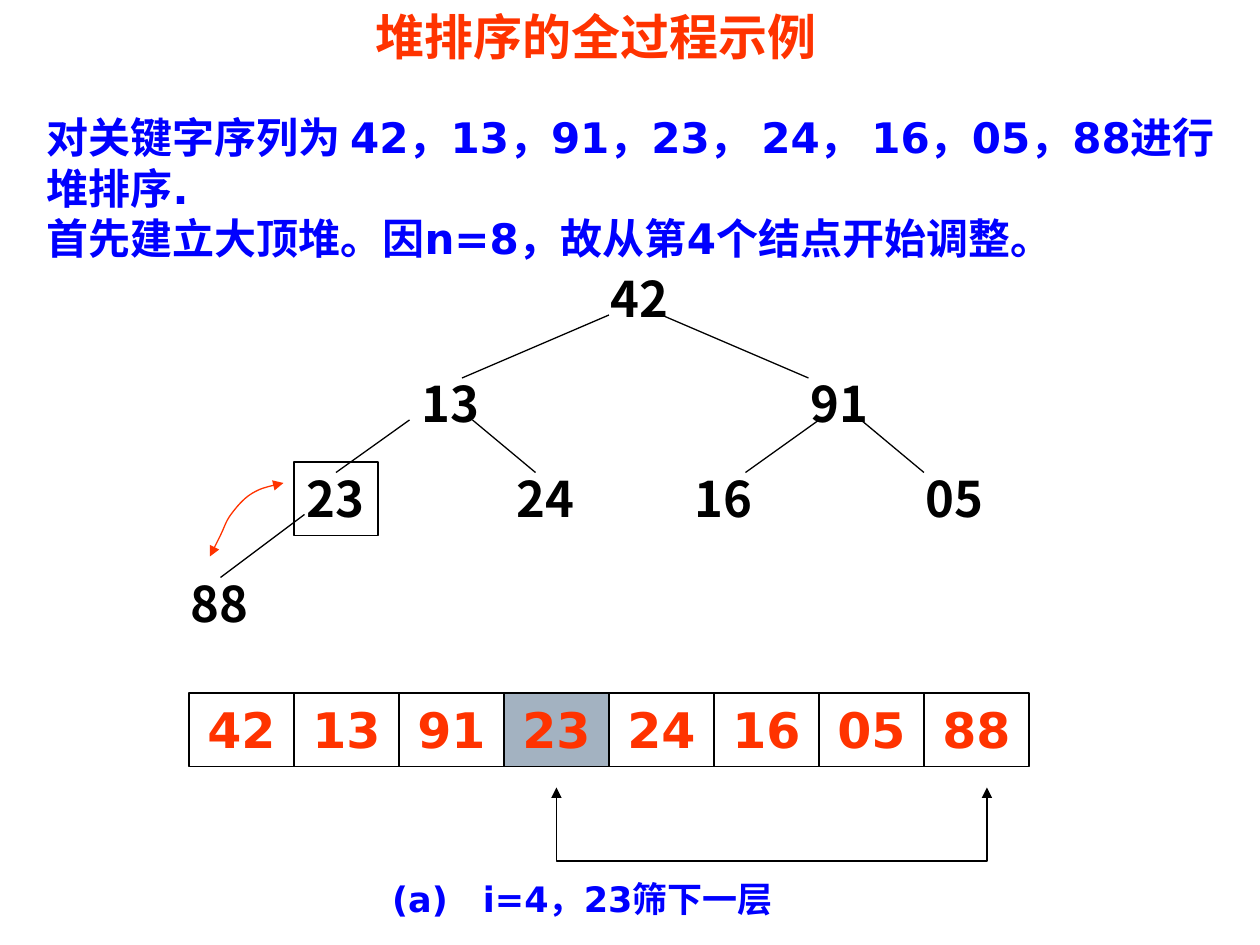
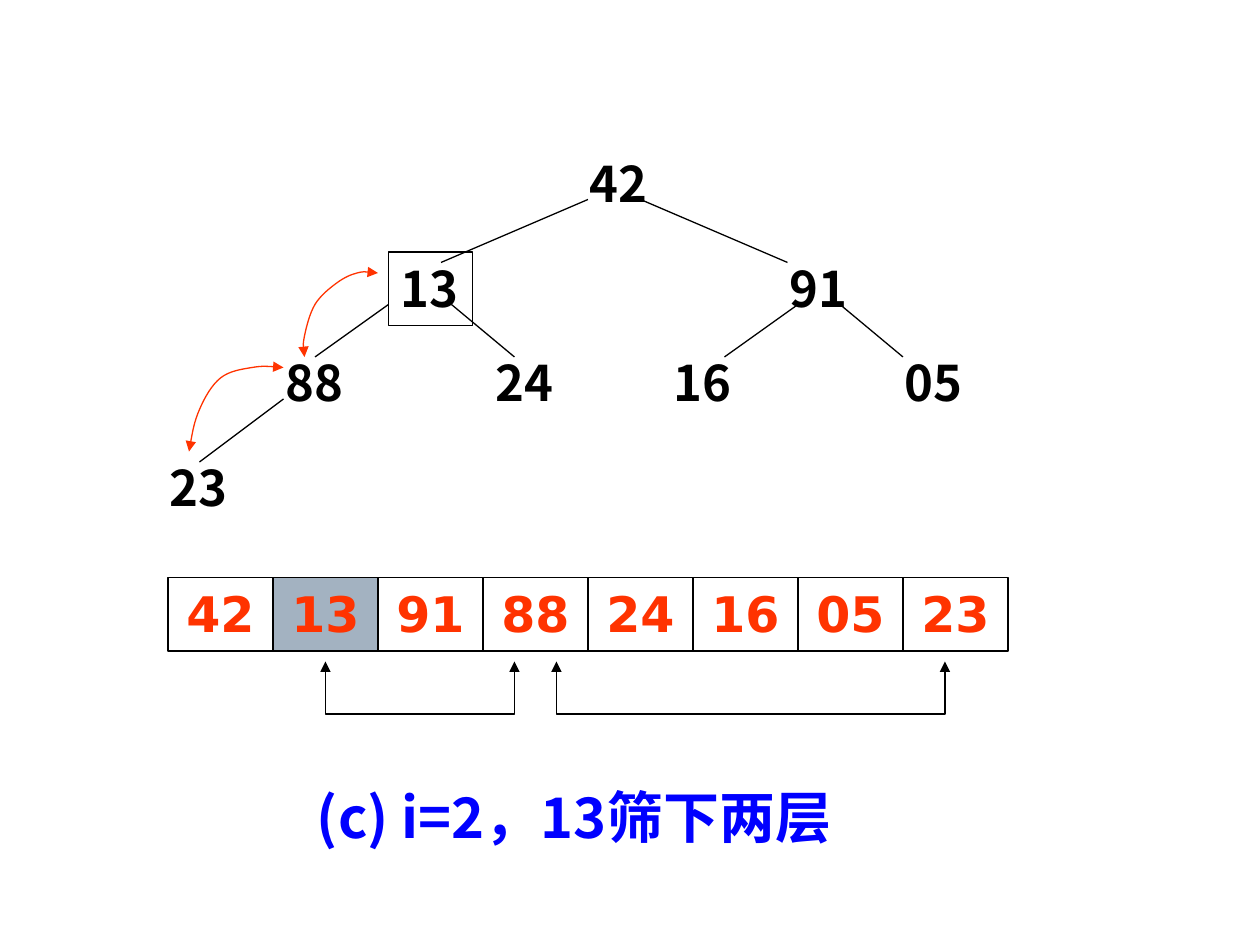
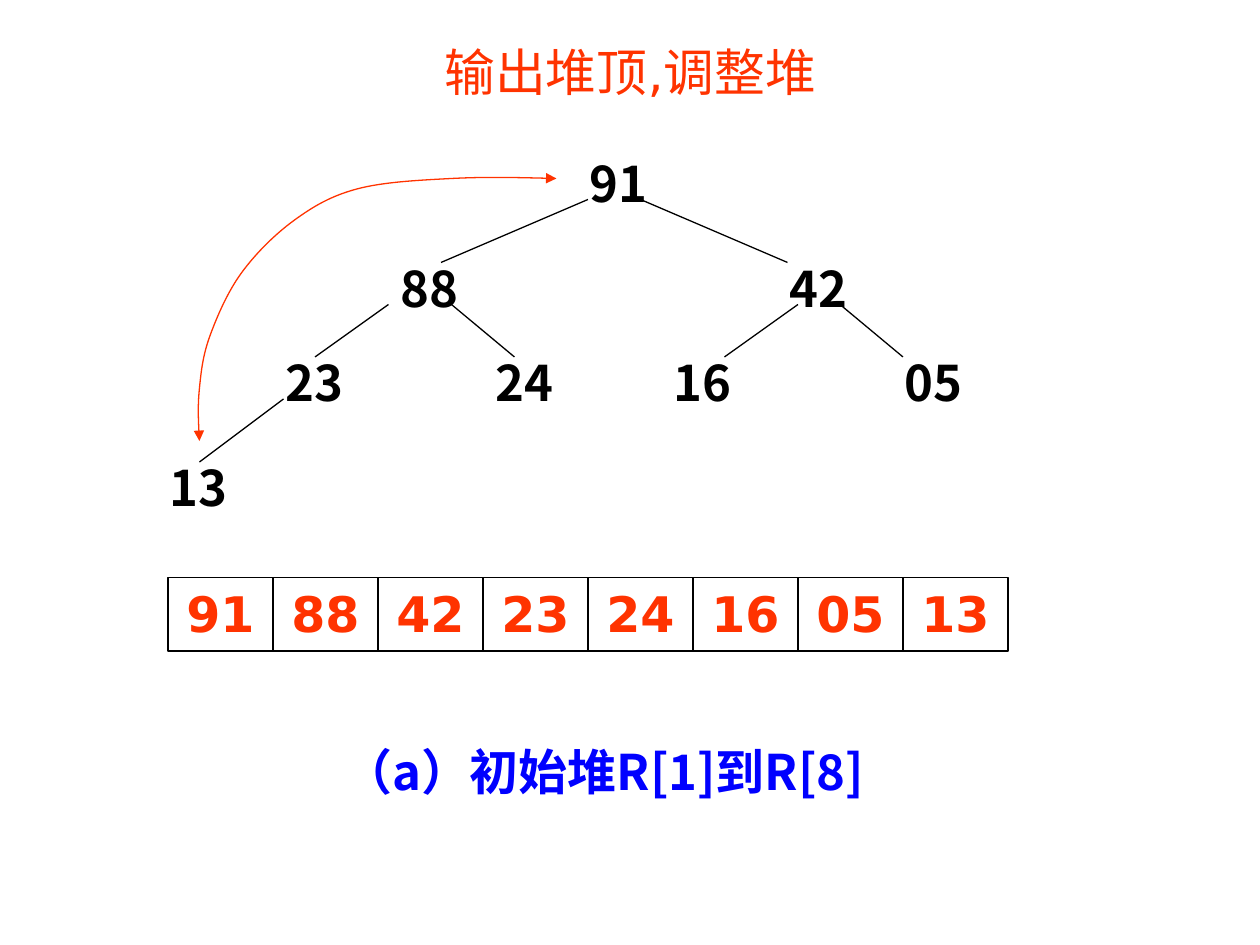
"""Build three slides that walk through heap sort as trees and arrays."""
import pptx
import pptx.dml.color
import pptx.enum.shapes
import pptx.enum.text
import pptx.oxml.xmlchemy
import pptx.util

BLACK = pptx.dml.color.RGBColor(0x00, 0x00, 0x00)
RED = pptx.dml.color.RGBColor(0xFF, 0x33, 0x00)
BLUE = pptx.dml.color.RGBColor(0x00, 0x00, 0xFF)
GREY = pptx.dml.color.RGBColor(0xA3, 0xB2, 0xC1)
SANS, CJK = "DejaVu Sans", "Noto Sans CJK SC"
LEFT, CENTER = pptx.enum.text.PP_ALIGN.LEFT, pptx.enum.text.PP_ALIGN.CENTER
TOP = pptx.enum.text.MSO_ANCHOR.TOP
MIDDLE = pptx.enum.text.MSO_ANCHOR.MIDDLE
BOTTOM = pptx.enum.text.MSO_ANCHOR.BOTTOM
RECTANGLE = pptx.enum.shapes.MSO_SHAPE.RECTANGLE
STRAIGHT = pptx.enum.shapes.MSO_CONNECTOR.STRAIGHT

GRID_STEPS_PER_INCH = 12
NODE_SIZE, CELL_SIZE = (8, 7), (10, 7)
NODES = [(55, 14), (37, 24), (74, 24), (26, 33), (46, 33), (63, 33), (85, 33), (15, 43)]
EDGES = [
    ((56, 19), (42, 25)), ((61, 19), (75, 25)),
    ((37, 29), (30, 34)), ((43, 29), (49, 34)),
    ((76, 29), (69, 34)), ((80, 29), (86, 34)),
    ((27, 38), (19, 44)),
]
ARRAY_START = (16, 55)

SLIDES = [
    {
        "keys": ["42", "13", "91", "23", "24", "16", "05", "88"],
        "focus": 3,
        "offset": (2, 11),
        "brackets": [(53, 94, 75, 82)],
        "swaps": [[(20, 53), (21, 51), (22, 49), (24, 47), (27, 46)]],
        "texts": [
            (["对关键字序列为 42，13，91，23， 24， 16，05，88进行堆排序.",
              "首先建立大顶堆。因n=8，故从第4个结点开始调整。"],
             (0.69, 2.13, 24.21, 2.29), 24, SANS, BLUE, True, LEFT, TOP),
            (["(a)　i=4，23筛下一层"],
             (6.56, 17.57, 10.37, 1.09), 20, SANS, BLUE, True, CENTER, TOP),
            (["堆排序的全过程示例"],
             (7.29, 0, 9.45, 1.45), 28, SANS, RED, True, CENTER, BOTTOM),
        ],
    },
    {
        "keys": ["42", "13", "91", "88", "24", "16", "05", "23"],
        "focus": 1,
        "offset": (0, 0),
        "brackets": [(31, 49, 63, 68), (53, 90, 63, 68)],
        "swaps": [
            [(18, 43), (19, 39), (21, 36), (24, 35), (27, 35)],
            [(29, 34), (29, 32), (30, 29), (32, 27), (34, 26), (36, 26)],
        ],
        "texts": [
            (["(c) i=2，13筛下两层"],
             (6.14, 15.66, 11.64, 1.6), 32, CJK, BLUE, True, LEFT, TOP),
        ],
    },
    {
        "keys": ["91", "88", "42", "23", "24", "16", "05", "13"],
        "focus": None,
        "offset": (0, 0),
        "brackets": [],
        "swaps": [[(19, 42), (19, 37), (20, 32), (23, 26), (28, 21), (34, 18), (43, 17), (53, 17)]],
        "texts": [
            (["（a）初始堆R[1]到R[8]"],
             (4.87, 14.82, 14.6, 1.45), 28, CJK, BLUE, True, CENTER, TOP),
            (["输出堆顶,调整堆"],
             (8.71, 0.71, 8.59, 1.47), 29, SANS, RED, False, LEFT, MIDDLE),
        ],
    },
]


def grid(*steps):
    return [pptx.util.Cm(step * 2.54 / GRID_STEPS_PER_INCH) for step in steps]


def shift(point, offset):
    return point[0] + offset[0], point[1] + offset[1]


def write(shape, lines, size, font_name, color, bold=True, alignment=LEFT, anchor=TOP):
    frame = shape.text_frame
    frame.word_wrap = True
    frame.vertical_anchor = anchor
    frame.text = "\n".join(lines)
    for paragraph in frame.paragraphs:
        paragraph.alignment = alignment
        paragraph.font.size = pptx.util.Pt(size)
        paragraph.font.name = font_name
        paragraph.font.bold = bold
        paragraph.font.color.rgb = color


def draw_line(line, color=BLACK):
    line.color.rgb = color
    line.width = pptx.util.Pt(0.75)


def add_box(slide, corner, size, fill=None):
    shape = slide.shapes.add_shape(RECTANGLE, *grid(*corner, *size))
    shape.shadow.inherit = False
    if fill is None:
        shape.fill.background()
    else:
        shape.fill.solid()
        shape.fill.fore_color.rgb = fill
    draw_line(shape.line)
    return shape


def add_edge(slide, start, end):
    connector = slide.shapes.add_connector(STRAIGHT, *grid(*start, *end))
    draw_line(connector.line)
    connector._element.spPr.append(pptx.oxml.xmlchemy.OxmlElement("a:effectLst"))


def add_double_arrow(slide, points, color):
    corners = [grid(*point) for point in points]
    builder = slide.shapes.build_freeform(*corners[0])
    builder.add_line_segments(corners[1:], close=False)
    shape = builder.convert_to_shape()
    shape.shadow.inherit = False
    shape.fill.background()
    draw_line(shape.line, color)
    outline = shape._element.xpath("./p:spPr/a:ln")[0]
    for tag in ("a:headEnd", "a:tailEnd"):
        arrowhead = pptx.oxml.xmlchemy.OxmlElement(tag)
        arrowhead.set("type", "triangle")
        outline.append(arrowhead)
    return shape


def middle(first, second):
    return (first[0] + second[0]) / 2, (first[1] + second[1]) / 2


def curve_points(anchors):
    before, after = {}, {}
    for index in range(1, len(anchors) - 1):
        (left, top), (x, y), (right, bottom) = anchors[index - 1:index + 2]
        step_x, step_y = (right - left) / 6, (bottom - top) / 6
        before[index] = (x - step_x, y - step_y)
        after[index] = (x + step_x, y + step_y)
    last = len(anchors) - 1
    after[0] = middle(anchors[0], before[1])
    before[last] = middle(anchors[last], after[last - 1])
    points = [anchors[0]]
    for index in range(last):
        points += [after[index], before[index + 1], anchors[index + 1]]
    return points


def add_swap_curve(slide, anchors):
    shape = add_double_arrow(slide, curve_points(anchors), RED)
    segments = shape._element.xpath(".//a:lnTo")
    for index in range(0, len(segments), 3):
        curve = pptx.oxml.xmlchemy.OxmlElement("a:cubicBezTo")
        segments[index].addprevious(curve)
        for segment in segments[index:index + 3]:
            curve.append(segment[0])
            segment.getparent().remove(segment)


def add_tree(slide, keys, focus, offset):
    for index, (key, node) in enumerate(zip(keys, NODES)):
        corner = shift(node, offset)
        if index == focus:
            shape = add_box(slide, corner, NODE_SIZE)
        else:
            shape = slide.shapes.add_textbox(*grid(*corner, *NODE_SIZE))
        write(shape, [key], 28, CJK, BLACK)
    for start, end in EDGES:
        add_edge(slide, shift(start, offset), shift(end, offset))


def add_array(slide, keys, focus, offset):
    left, top = shift(ARRAY_START, offset)
    for index, key in enumerate(keys):
        fill = GREY if index == focus else None
        cell = add_box(slide, (left + index * CELL_SIZE[0], top), CELL_SIZE, fill)
        write(cell, [key], 28, SANS, RED, alignment=CENTER)


def main():
    presentation = pptx.Presentation()
    presentation.slide_width = pptx.util.Cm(25.4)
    presentation.slide_height = pptx.util.Cm(19.05)
    for content in SLIDES:
        slide = presentation.slides.add_slide(presentation.slide_layouts[6])
        state = content["keys"], content["focus"], content["offset"]
        add_tree(slide, *state)
        add_array(slide, *state)
        for left, right, top, bottom in content["brackets"]:
            corners = [(left, top), (left, bottom), (right, bottom), (right, top)]
            add_double_arrow(slide, corners, BLACK)
        for anchors in content["swaps"]:
            add_swap_curve(slide, anchors)
        for lines, place, *style in content["texts"]:
            textbox = slide.shapes.add_textbox(*map(pptx.util.Cm, place))
            write(textbox, lines, *style)
    presentation.save("out.pptx")


if __name__ == "__main__":
    main()
